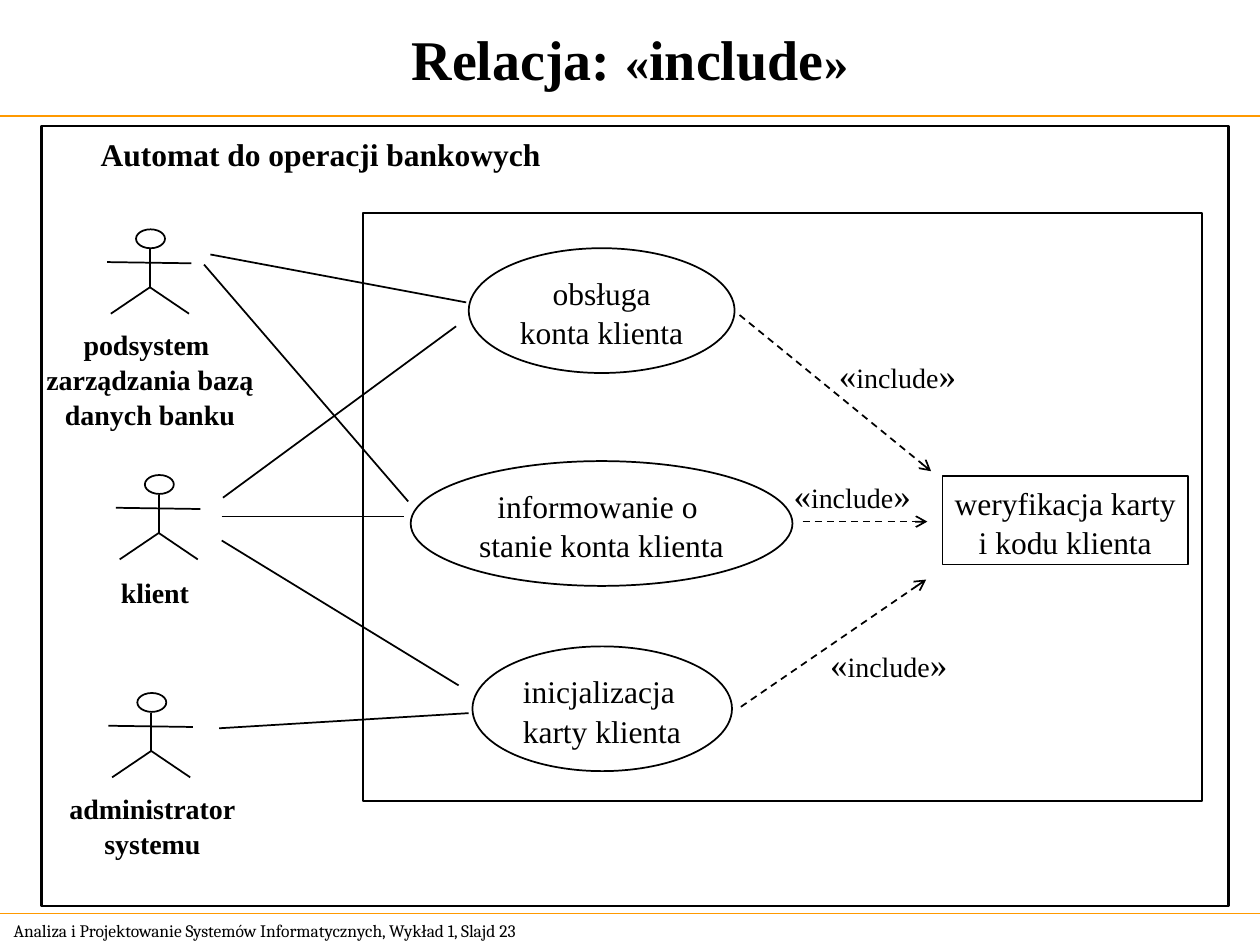
from dataclasses import dataclass
from itertools import groupby
from lxml.etree import SubElement
from pptx import Presentation
from pptx.dml.color import RGBColor
from pptx.enum.dml import MSO_LINE
from pptx.enum.shapes import MSO_CONNECTOR, MSO_SHAPE
from pptx.enum.text import MSO_ANCHOR, MSO_AUTO_SIZE, PP_ALIGN
from pptx.oxml.ns import qn
from pptx.util import Inches, Pt


@dataclass(frozen=True)
class Theme:
    ink: RGBColor = RGBColor(0, 0, 0)
    rule: RGBColor = RGBColor(255, 153, 0)
    font: str = "Times New Roman"
    foot: str = "Cambria"
    title: int = 32
    big: int = 20
    body: int = 18
    name: int = 16
    small: int = 10
    mark: int = 28
    thin: float = 0.75
    line: float = 1
    thick: float = 1.5
    lead: float = 1.04


T = Theme()
COLS, ROWS = 10, 7.5

TITLE = "Relacja: «include»"
FOOT = "Analiza i Projektowanie Systemów Informatycznych, Wykład 1, Slajd 23"
SYSTEM = "Automat do operacji bankowych"
RULES = [0.92, 7.25]
FRAMES = [((0.33, 1, 9.42, 6.19), T.thick), ((2.88, 1.69, 6.66, 4.67), T.line)]
ACTORS = [
    ((1.08, 1.82), (0.27, 2.54, 1.84, 0.9),
     ["podsystem ", "zarządzania bazą", "danych banku"]),
    ((1.15, 3.77), (0.86, 4.51, 0.74, 0.36), ["klient"]),
    ((1.09, 5.5), (0.45, 6.22, 1.52, 0.63), ["administrator", "systemu"]),
]
HEAD = (0.23, 0.15)
LIMBS = [
    ((0.11, 0.16), (0.11, 0.46)),
    ((-0.23, 0.26), (0.44, 0.27)),
    ((0.11, 0.46), (0.42, 0.67)),
    ((0.11, 0.46), (-0.2, 0.67)),
]
MID, LEFT = PP_ALIGN.CENTER, PP_ALIGN.LEFT
OVAL, RECT = MSO_SHAPE.OVAL, MSO_SHAPE.RECTANGLE
CASES = [
    (OVAL, (3.72, 1.97, 2.11, 0.99), ["obsługa", "konta klienta"], MID),
    (OVAL, (3.26, 3.66, 3.03, 0.99),
     ["informowanie o ", "stanie konta klienta"], MID),
    (OVAL, (3.75, 5.13, 2.06, 0.99), ["inicjalizacja", "karty klienta"], LEFT),
    (RECT, (7.48, 3.78, 1.95, 0.7),
     ["weryfikacja karty", "i kodu klienta"], MID),
]
LINKS = [
    ((1.67, 2.02), (3.7, 2.4)),
    ((1.62, 2.1), (3.24, 3.98)),
    ((1.74, 5.78), (3.72, 5.66)),
    ((1.76, 4.1), (3.21, 4.1)),
    ((1.77, 3.95), (3.62, 2.59)),
    ((1.76, 4.29), (3.64, 5.44)),
]
USES = [
    ((5.88, 5.61), (7.35, 4.6), (6.49, 5.05)),
    ((6.37, 4.14), (7.36, 4.14), (6.2, 3.71)),
    ((5.87, 2.5), (7.39, 3.74), (6.56, 2.76)),
]
LABEL = (1.13, 0.44)

deck = Presentation()
deck.slide_width, deck.slide_height = Inches(COLS), Inches(ROWS)
slide = deck.slides.add_slide(deck.slide_layouts[5])
shapes = slide.shapes


def grid(*cells):
    sides = (deck.slide_width / COLS, deck.slide_height / ROWS)
    return [round(n * sides[i % 2]) for i, n in enumerate(cells)]


def say(box, lines, size=T.body, mark=None, font=T.font, bold=False,
        align=LEFT, anchor=MSO_ANCHOR.TOP, wrap=False, lead=1.0):
    frame = box.text_frame
    frame.auto_size = MSO_AUTO_SIZE.NONE
    frame.word_wrap = wrap
    frame.vertical_anchor = anchor
    frame.margin_left = frame.margin_right = Inches(0.1)
    frame.margin_top = frame.margin_bottom = Inches(0.05)
    for i, line in enumerate(lines):
        para = frame.add_paragraph() if i else frame.paragraphs[0]
        para.alignment, para.line_spacing = align, lead
        for quote, part in groupby(line, lambda c: c in "«»"):
            run = para.add_run()
            run.text = "".join(part)
            style = run.font
            style.size = Pt(mark if quote and mark else size)
            style.name, style.bold = font, bold
            style.color.rgb = T.ink


def note(place, lines, **form):
    box = shapes.add_textbox(*grid(*place))
    say(box, lines, **form)


def draw(kind, place, width=T.line, home=shapes):
    item = home.add_shape(kind, *grid(*place))
    item.shadow.inherit = False
    item.fill.background()
    item.line.color.rgb, item.line.width = T.ink, Pt(width)
    return item


def join(start, end, color=T.ink, width=T.line, arrow=False, home=shapes):
    item = home.add_connector(MSO_CONNECTOR.STRAIGHT, *grid(*start, *end))
    item.line.color.rgb, item.line.width = color, Pt(width)
    if arrow:
        item.line.dash_style = MSO_LINE.DASH
        SubElement(item.line._get_or_add_ln(), qn("a:tailEnd"), type="arrow")
    SubElement(item._element.spPr, qn("a:effectLst"))


def actor(spot):
    x, y = spot
    home = shapes.add_group_shape().shapes
    draw(OVAL, (x, y, *HEAD), home=home)
    for (a, b), (c, d) in LIMBS:
        join((x + a, y + b), (x + c, y + d), home=home)


head = shapes.title
head.left, head.top, head.width, head.height = grid(0, 0, COLS, RULES[0])
say(head, [TITLE], size=T.title, mark=T.mark, bold=True, align=MID,
    anchor=MSO_ANCHOR.MIDDLE, wrap=True)
note((0.01, RULES[1], 4.75, 0.27), [FOOT], size=T.small, font=T.foot,
     anchor=MSO_ANCHOR.MIDDLE)
for y in RULES:
    join((0, y), (COLS, y), color=T.rule, width=T.thin)
for place, width in FRAMES:
    draw(RECT, place, width)
note((0.7, 1.02, 3.69, 0.4), [SYSTEM], bold=True)
for spot, place, lines in ACTORS:
    actor(spot)
    note(place, lines, size=T.name, bold=True, align=MID, lead=T.lead)
for kind, place, lines, align in CASES:
    say(draw(kind, place), lines, align=align, lead=T.lead)
for start, end in LINKS:
    join(start, end)
for start, end, spot in USES:
    join(start, end, arrow=True)
    note((*spot, *LABEL), ["«include»"], size=T.name, mark=T.big)

deck.save("out.pptx")
